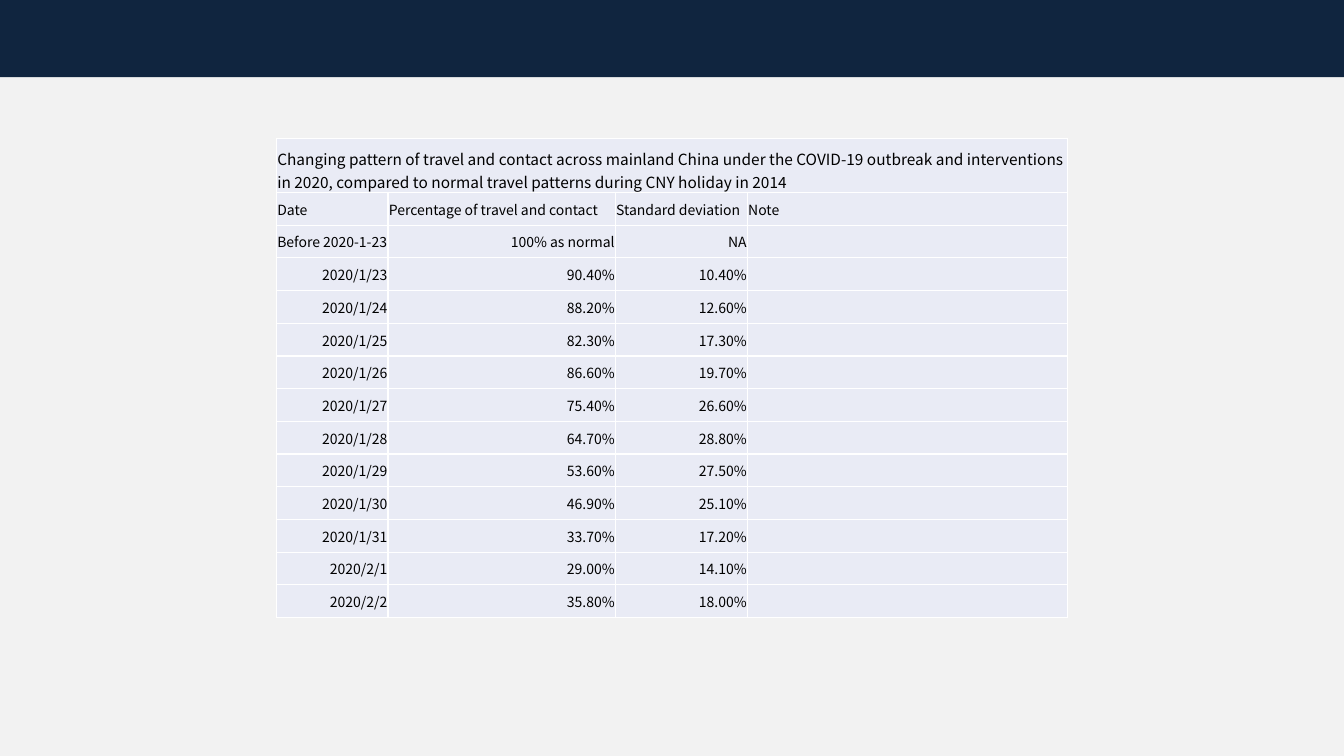
from lxml.etree import SubElement
from pptx import Presentation
from pptx.dml.color import RGBColor
from pptx.enum.shapes import MSO_SHAPE
from pptx.enum.text import MSO_ANCHOR as Anchor, PP_ALIGN as Align
from pptx.oxml.ns import qn
from pptx.util import Pt

CAPTION = ("Changing pattern of travel and contact across mainland China under the COVID-19 "
           "outbreak and interventions in 2020, compared to normal travel patterns during "
           "CNY holiday in 2014")
HEADINGS = ("Date", "Percentage of travel and contact", "Standard deviation", "Note")
BASELINE = ("Before 2020-1-23", "100% as normal", "NA", "")
DAYS = [
    ("2020/1/23", "90.40%", "10.40%", ""),
    ("2020/1/24", "88.20%", "12.60%", ""),
    ("2020/1/25", "82.30%", "17.30%", ""),
    ("2020/1/26", "86.60%", "19.70%", ""),
    ("2020/1/27", "75.40%", "26.60%", ""),
    ("2020/1/28", "64.70%", "28.80%", ""),
    ("2020/1/29", "53.60%", "27.50%", ""),
    ("2020/1/30", "46.90%", "25.10%", ""),
    ("2020/1/31", "33.70%", "17.20%", ""),
    ("2020/2/1", "29.00%", "14.10%", ""),
    ("2020/2/2", "35.80%", "18.00%", ""),
]

NAVY = RGBColor(0x10, 0x25, 0x3F)
PALE_GREY = RGBColor(0xF2, 0xF2, 0xF2)
LAVENDER = RGBColor(0xE9, 0xEB, 0xF5)
WHITE = RGBColor(0xFF, 0xFF, 0xFF)
BLACK = RGBColor(0, 0, 0)
FONT = "Noto Sans CJK SC"

SLIDE_WIDTH, SLIDE_HEIGHT, BAND_HEIGHT = 960, 540, 55.2
TABLE_LEFT, TABLE_TOP = 197.5, 98.9
COLUMN_WIDTHS = (79.7, 162.4, 94.3, 228.6)
CAPTION_HEIGHT, ROW_HEIGHT = 38.6, 23.36
CELL_FORMAT = {"margin_left": Pt(0.6), "margin_right": Pt(0.6),
               "margin_top": Pt(0.6), "margin_bottom": Pt(0)}


def apply_format(target, values):
    for key, value in values.items():
        setattr(target, key, value)


def add_borders(cell):
    properties = cell._tc.get_or_add_tcPr()
    for side in ("a:lnL", "a:lnR", "a:lnT", "a:lnB"):
        border = SubElement(properties, qn(side), w=str(Pt(1)))
        SubElement(SubElement(border, qn("a:solidFill")), qn("a:srgbClr"), val=str(WHITE))


def write_cell(cell, text, size, align, anchor):
    add_borders(cell)
    apply_format(cell, CELL_FORMAT | {"vertical_anchor": anchor})
    cell.fill.solid()
    cell.fill.fore_color.rgb = LAVENDER
    paragraph = cell.text_frame.paragraphs[0]
    paragraph.alignment = align
    if text:
        run = paragraph.add_run()
        run.text = text
        apply_format(run.font, {"name": FONT, "size": Pt(size)})
        run.font.color.rgb = BLACK
    else:
        SubElement(paragraph._p, qn("a:endParaRPr"), sz=str(size * 100))


def add_travel_table(slide):
    rows = [(CAPTION, "", "", ""), HEADINGS, BASELINE, *DAYS]
    heights = [CAPTION_HEIGHT] + [ROW_HEIGHT] * (len(rows) - 1)
    frame = slide.shapes.add_table(len(rows), len(HEADINGS), Pt(TABLE_LEFT), Pt(TABLE_TOP),
                                   Pt(sum(COLUMN_WIDTHS)), Pt(sum(heights)))
    table = frame.table
    apply_format(table, {"first_row": False, "horz_banding": False})
    for column, width in zip(table.columns, COLUMN_WIDTHS):
        column.width = Pt(width)
    for row, height in zip(table.rows, heights):
        row.height = Pt(height)
    table.cell(0, 0).merge(table.cell(0, len(HEADINGS) - 1))
    for r, texts in enumerate(rows):
        for c, text in enumerate(texts):
            is_label = r < 2 or text == BASELINE[0]
            write_cell(table.cell(r, c), text,
                       size=11 if r == 0 else 10,
                       align=Align.LEFT if is_label else Align.RIGHT,
                       anchor=Anchor.BOTTOM if r == 0 else Anchor.MIDDLE)


def main():
    deck = Presentation()
    apply_format(deck, {"slide_width": Pt(SLIDE_WIDTH), "slide_height": Pt(SLIDE_HEIGHT)})
    slide = deck.slides.add_slide(deck.slide_layouts[6])
    slide.background.fill.solid()
    slide.background.fill.fore_color.rgb = PALE_GREY

    band = slide.shapes.add_shape(MSO_SHAPE.RECTANGLE, 0, 0, Pt(SLIDE_WIDTH), Pt(BAND_HEIGHT))
    band.shadow.inherit = False
    band.fill.solid()
    band.fill.fore_color.rgb = NAVY
    band.line.fill.background()

    add_travel_table(slide)
    deck.save("out.pptx")


if __name__ == "__main__":
    main()
